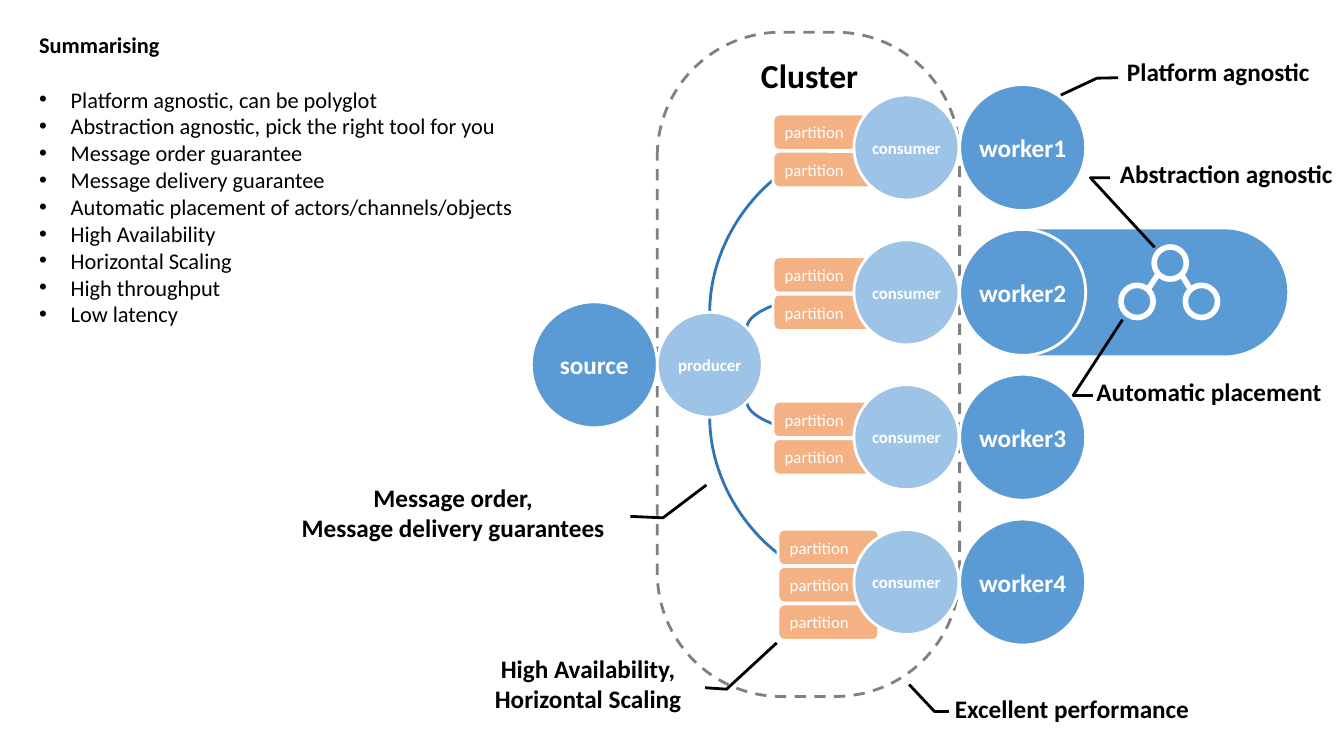
import pptx
import pptx.dml.color
import pptx.enum.dml
import pptx.enum.shapes
import pptx.enum.text
import pptx.oxml
import pptx.oxml.ns
import pptx.util

Pt = pptx.util.Pt
SHAPE = pptx.enum.shapes.MSO_SHAPE
CONNECTOR = pptx.enum.shapes.MSO_CONNECTOR
ALIGN = pptx.enum.text.PP_ALIGN
ANCHOR = pptx.enum.text.MSO_ANCHOR
BLUE, LIGHT_BLUE, CURVE_BLUE = "5B9BD5", "9DC3E6", "2E75B6"
ORANGE, GRAY, WHITE, BLACK = "F4B183", "808080", "FFFFFF", "000000"


def rgb(value):
    """Turn a hex string into a colour."""
    return pptx.dml.color.RGBColor.from_string(value)


class SlideBuilder:
    """Hold the style and the current slide, and add elements to it."""

    font = "Calibri"

    def __init__(self, slide):
        """Keep the slide to draw on."""
        self.slide = slide

    def label(self, holder, text, size, color=WHITE, bold=True, align=ALIGN.LEFT,
              anchor=ANCHOR.MIDDLE, inset=None):
        """Fill a text frame and format its paragraphs and runs."""
        frame = holder.text_frame
        frame.text = text
        frame.word_wrap = True
        frame.auto_size = pptx.enum.text.MSO_AUTO_SIZE.NONE
        frame.vertical_anchor = anchor
        if inset is not None:
            frame.margin_left = frame.margin_right = Pt(inset)
            frame.margin_top = frame.margin_bottom = Pt(inset)
        for para in frame.paragraphs:
            para.alignment = align
            para.space_before = Pt(0)
            for span in para.runs:
                span.font.name = self.font
                span.font.size = Pt(size)
                span.font.bold = bold
                span.font.color.rgb = rgb(color)

    def placeholder(self, index, text, left, top, width, height, bold=False):
        """Move a template placeholder and fill it."""
        holder = self.slide.placeholders[index]
        holder.left, holder.top = Pt(left), Pt(top)
        holder.width, holder.height = Pt(width), Pt(height)
        self.label(holder, text, 16, BLACK, bold, anchor=ANCHOR.TOP, inset=11.5)
        return holder

    def bullets(self, items, left, top, width, height):
        """Put a bulleted list in the body placeholder."""
        body = self.placeholder(1, "\n".join(items), left, top, width, height)
        for para in body.text_frame.paragraphs:
            properties = para._p.get_or_add_pPr()
            properties.set("marL", str(Pt(22.5)))
            properties.set("indent", str(Pt(-22.5)))
            bullet = pptx.oxml.parse_xml(
                f'<a:buChar {pptx.oxml.ns.nsdecls("a")} char="\u2022"/>')
            properties.append(bullet)

    def text(self, text, left, top, width, height, size):
        """Add a plain text box."""
        box = self.slide.shapes.add_textbox(Pt(left), Pt(top), Pt(width), Pt(height))
        self.label(box, text, size, BLACK, anchor=ANCHOR.TOP)

    def shape(self, kind, left, top, width, height, fill=None, line=None, weight=2,
              adjust=()):
        """Add a preset shape."""
        shape = self.slide.shapes.add_shape(
            kind, Pt(left), Pt(top), Pt(width), Pt(height))
        shape.shadow.inherit = False
        for index, value in enumerate(adjust):
            shape.adjustments[index] = value
        if fill:
            shape.fill.solid()
            shape.fill.fore_color.rgb = rgb(fill)
        else:
            shape.fill.background()
        if line:
            shape.line.color.rgb = rgb(line)
            shape.line.width = Pt(weight)
        else:
            shape.line.fill.background()
        return shape

    def circle(self, center_x, center_y, diameter, fill, weight=2):
        """Add a circle with a white outline around a centre."""
        return self.shape(SHAPE.OVAL, center_x - diameter / 2, center_y - diameter / 2,
                          diameter, diameter, fill, WHITE, weight)

    def actor(self, name, center_x, center_y):
        """Add a large labelled circle."""
        self.label(self.circle(center_x, center_y, 90, BLUE), name, 18,
                   align=ALIGN.CENTER, inset=0)

    def endpoint(self, name, center_x, center_y):
        """Add a small labelled circle."""
        self.label(self.circle(center_x, center_y, 75, LIGHT_BLUE), name, 12,
                   align=ALIGN.CENTER, inset=0)

    def partition(self, left, top):
        """Add one partition tag."""
        tag = self.shape(SHAPE.ROUNDED_RECTANGLE, left, top, 72, 26, ORANGE, WHITE)
        self.label(tag, "partition", 12, bold=False)

    def callout(self, text, left, top, width, adjust):
        """Add a borderless callout with a bent leader line."""
        callout = self.shape(SHAPE.LINE_CALLOUT_2_NO_BORDER, left, top, width, 34.5,
                             line=BLACK, adjust=adjust)
        self.label(callout, text, 18, BLACK, align=ALIGN.CENTER)

    def connector(self, kind, x1, y1, x2, y2, color, weight):
        """Add a connector without a shadow."""
        link = self.slide.shapes.add_connector(kind, Pt(x1), Pt(y1), Pt(x2), Pt(y2))
        link.line.color.rgb = rgb(color)
        link.line.width = Pt(weight)
        link._element.spPr.append(
            pptx.oxml.parse_xml(f'<a:effectLst {pptx.oxml.ns.nsdecls("a")}/>'))
        return link

    def curve(self, x1, y1, x2, y2):
        """Add a quarter curve that leaves vertically and arrives level with an arrow."""
        upward = 1 if y2 < y1 else -1
        center_x, center_y = (x1 + x2) / 2, (y1 + y2) / 2
        half_width, half_height = abs(y2 - y1) / 2, upward * (x2 - x1) / 2
        link = self.connector(CONNECTOR.CURVE, center_x + half_width,
                              center_y + half_height, center_x - half_width,
                              center_y - half_height, CURVE_BLUE, 2)
        properties = link._element.spPr
        properties.xfrm.set("rot", str((180 - 90 * upward) * 60000))
        properties.prstGeom.set("prst", "curvedConnector2")
        properties.ln.append(pptx.oxml.parse_xml(
            f'<a:tailEnd {pptx.oxml.ns.nsdecls("a")} type="arrow"/>'))


deck = pptx.Presentation()
deck.slide_width, deck.slide_height = Pt(960), Pt(540)
page = SlideBuilder(deck.slides.add_slide(deck.slide_layouts[1]))

page.placeholder(0, "Summarising", 16.5, 10.8, 408, 42, bold=True)
page.bullets([
    "Platform agnostic, can be polyglot",
    "Abstraction agnostic, pick the right tool for you",
    "Message order guarantee",
    "Message delivery guarantee",
    "Automatic placement of actors/channels/objects",
    "High Availability",
    "Horizontal Scaling",
    "High throughput",
    "Low latency",
], 16.5, 49.7, 408, 382)

row_centers = [105.4 + 103.45 * row for row in range(4)]
producer_x, producer_y = 507, sum(row_centers) / 4
consumer_x, worker_x = 647.5, 730.5
curve_starts = [(0, -37.5), (26.5, -26.5), (26.5, 26.5), (0, 37.5)]
for (offset_x, offset_y), center_y in zip(curve_starts, row_centers):
    page.curve(producer_x + offset_x, producer_y + offset_y, consumer_x - 37.5, center_y)

cluster = page.shape(SHAPE.ROUNDED_RECTANGLE, 469.5, 23, 216, 474.5, line=GRAY,
                     adjust=[0.41])
cluster.line.dash_style = pptx.enum.dml.MSO_LINE.DASH
page.text("Cluster", 536.5, 35.5, 111, 36, 24)

page.shape(SHAPE.ROUNDED_RECTANGLE, worker_x - 45, row_centers[1] - 45, 234, 90, BLUE,
           adjust=[0.5])
partition_stacks = [(552.2, 81.4, 2), (552.2, 183.4, 2), (552.2, 286.6, 2), (555.8, 378, 3)]
for number, (center_y, stack) in enumerate(zip(row_centers, partition_stacks), 1):
    left, top, count = stack
    for index in range(count):
        page.partition(left, top + 26.7 * index)
    page.actor(f"worker{number}", worker_x, center_y)
    page.endpoint("consumer", consumer_x, center_y)
page.actor("source", 424.5, producer_y)
page.endpoint("producer", producer_x, producer_y)

for node_x, node_y in [(835.9, 187.9), (812.2, 215.3), (858.2, 215.3)]:
    page.circle(node_x, node_y, 23, BLUE, 4)
for outer_x, inner_x in [(820.1, 827.3), (850.3, 843.8)]:
    page.connector(CONNECTOR.STRAIGHT, outer_x, 206.6, inner_x, 195.8, WHITE, 4)

for callout in [
    ("Platform agnostic", 794.2, 33.8, 152, [0.63, 0.03, 0.64, -0.07, 0.99, -0.24]),
    ("Abstraction agnostic", 787.7, 106.6, 176.4, [0.59, 0.03, 0.59, -0.05, 2.03, 0.21]),
    ("Message order,\nMessage delivery guarantees", 194.4, 348.5, 258.5,
     [0.59, 0.99, 0.62, 1.08, -0.06, 1.2]),
    ("High Availability,\nHorizontal Scaling", 334.8, 470.9, 170.6,
     [0.59, 0.99, 0.62, 1.08, -0.34, 1.29]),
    ("Automatic placement", 775.4, 262.1, 176.4, [0.59, 0.03, 0.59, -0.05, -0.98, 0.15]),
    ("Excellent performance", 636.5, 488.9, 258.5, [0.56, 0.16, 0.56, 0.12, 0, 0.05]),
]:
    page.callout(*callout)

deck.save("out.pptx")
